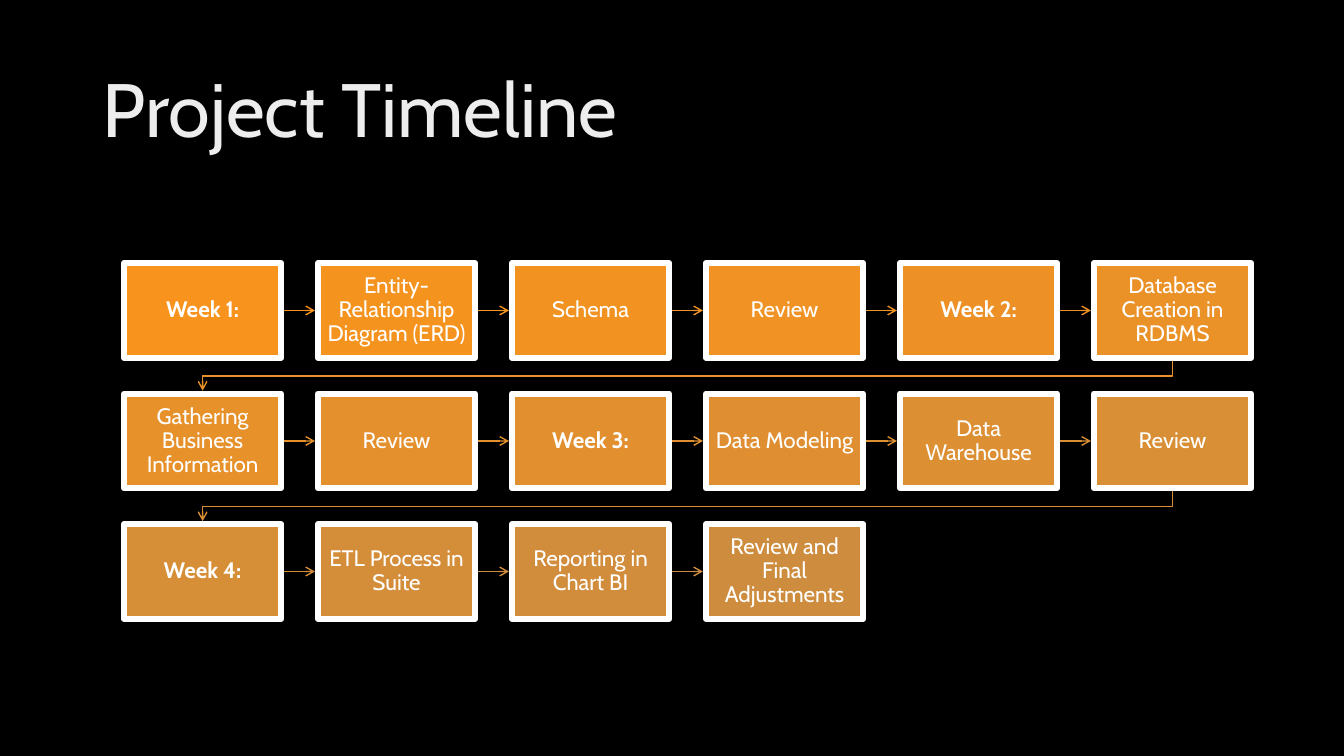
"""Build the Project Timeline slide: a snaking flow of weekly project steps."""
from dataclasses import dataclass
from itertools import pairwise

from lxml.etree import SubElement
from pptx import Presentation
from pptx.dml.color import RGBColor
from pptx.enum.shapes import MSO_CONNECTOR as Connector, MSO_SHAPE as Preset
from pptx.enum.text import MSO_ANCHOR as Anchor, PP_ALIGN as Align
from pptx.oxml.ns import qn
from pptx.util import Inches, Pt

COLORS = {
    "background": "000000",
    "title": "EDEDED",
    "white": "FFFFFF",
    "first": "F8931D",
    "last": "CE8D3E",
}
FONT = "Cabin"
COLUMNS = 6
LEFT, TOP = 1.23, 2.61
COLUMN_PITCH, ROW_PITCH = (10.85 - LEFT) / 5, (5.2 - TOP) / 2
STEP_WIDTH, STEP_HEIGHT = 1.56, 0.94
TIP_GAP = Inches(0.03)
TURN_DROP = Inches(0.18)


@dataclass(frozen=True)
class Step:
    label: str
    is_week: bool = False


STEPS = [
    Step("Week 1:", True),
    Step("Entity-Relationship Diagram (ERD)"),
    Step("Schema"),
    Step("Review"),
    Step("Week 2:", True),
    Step("Database Creation in RDBMS"),
    Step("Gathering Business Information"),
    Step("Review"),
    Step("Week 3:", True),
    Step("Data Modeling"),
    Step("Data Warehouse"),
    Step("Review"),
    Step("Week 4:", True),
    Step("ETL Process in Suite"),
    Step("Reporting in Chart BI"),
    Step("Review and Final Adjustments"),
]


def rgb(name: str) -> RGBColor:
    """Look up a named colour."""
    return RGBColor.from_string(COLORS[name])


def blend(share: float) -> RGBColor:
    """Mix the first and last step colours."""
    return RGBColor(*(round(a + (b - a) * share) for a, b in zip(rgb("first"), rgb("last"))))


def write(frame, text: str, size: int, color: str, bold: bool = False) -> None:
    """Write one vertically centred paragraph into a text frame."""
    frame.word_wrap = True
    frame.vertical_anchor = Anchor.MIDDLE
    paragraph = frame.paragraphs[0]
    paragraph.text = text
    paragraph.line_spacing = 0.9
    paragraph.font.name = FONT
    paragraph.font.size = Pt(size)
    paragraph.font.bold = bold
    paragraph.font.color.rgb = rgb(color)


def draw_step(slide, index: int, step: Step):
    """Draw one step at its place in the grid."""
    row, column = divmod(index, COLUMNS)
    box = slide.shapes.add_shape(
        Preset.RECTANGLE,
        Inches(LEFT + column * COLUMN_PITCH), Inches(TOP + row * ROW_PITCH),
        Inches(STEP_WIDTH), Inches(STEP_HEIGHT),
    )
    box.shadow.inherit = False
    box.fill.solid()
    box.fill.fore_color.rgb = blend(index / (len(STEPS) - 1))
    box.line.color.rgb = rgb("white")
    box.line.width = Pt(4.33)
    frame = box.text_frame
    frame.margin_left = frame.margin_right = Inches(0.08)
    frame.margin_top = frame.margin_bottom = Inches(0.08)
    write(frame, step.label, 16, "white", step.is_week)
    frame.paragraphs[0].alignment = Align.CENTER
    return box


def draw_straight(slide, source, target):
    """Join two neighbouring steps in a row."""
    middle = source.top + source.height // 2
    arrow = slide.shapes.add_connector(
        Connector.STRAIGHT, source.left + source.width, middle, target.left - TIP_GAP, middle
    )
    arrow.begin_connect(source, 3)
    return arrow


def draw_turn(slide, source, target):
    """Lead from the end of one row to the start of the next."""
    start_x = source.left + source.width // 2
    end_x = target.left + target.width // 2
    bottom = source.top + source.height
    turn = bottom + TURN_DROP
    outline = slide.shapes.build_freeform(start_x, bottom)
    outline.add_line_segments(
        [(start_x, turn), (end_x, turn), (end_x, target.top - TIP_GAP)], close=False
    )
    arrow = outline.convert_to_shape()
    arrow.fill.background()
    return arrow


def draw_arrow(slide, source, target, color: RGBColor) -> None:
    """Draw the arrow between two steps, behind all steps."""
    draw = draw_straight if source.top == target.top else draw_turn
    arrow = draw(slide, source, target)
    arrow.line.color.rgb = color
    arrow.line.width = Pt(1)
    SubElement(arrow.line._get_or_add_ln(), qn("a:tailEnd"), type="arrow")
    SubElement(arrow._element.spPr, qn("a:effectLst"))
    slide.shapes._spTree.insert(2, arrow._element)


def main() -> None:
    """Build and save the slide."""
    deck = Presentation()
    deck.slide_width, deck.slide_height = Inches(13.33), Inches(7.5)
    slide = deck.slides.add_slide(deck.slide_layouts[6])
    slide.background.fill.solid()
    slide.background.fill.fore_color.rgb = rgb("background")

    title = slide.shapes.add_textbox(Inches(0.92), Inches(0.4), Inches(11.5), Inches(1.45))
    write(title.text_frame, "Project Timeline", 54, "title")

    boxes = [draw_step(slide, index, step) for index, step in enumerate(STEPS)]
    for index, (source, target) in enumerate(pairwise(boxes)):
        draw_arrow(slide, source, target, blend(index / (len(STEPS) - 2)))

    deck.save("out.pptx")


if __name__ == "__main__":
    main()
